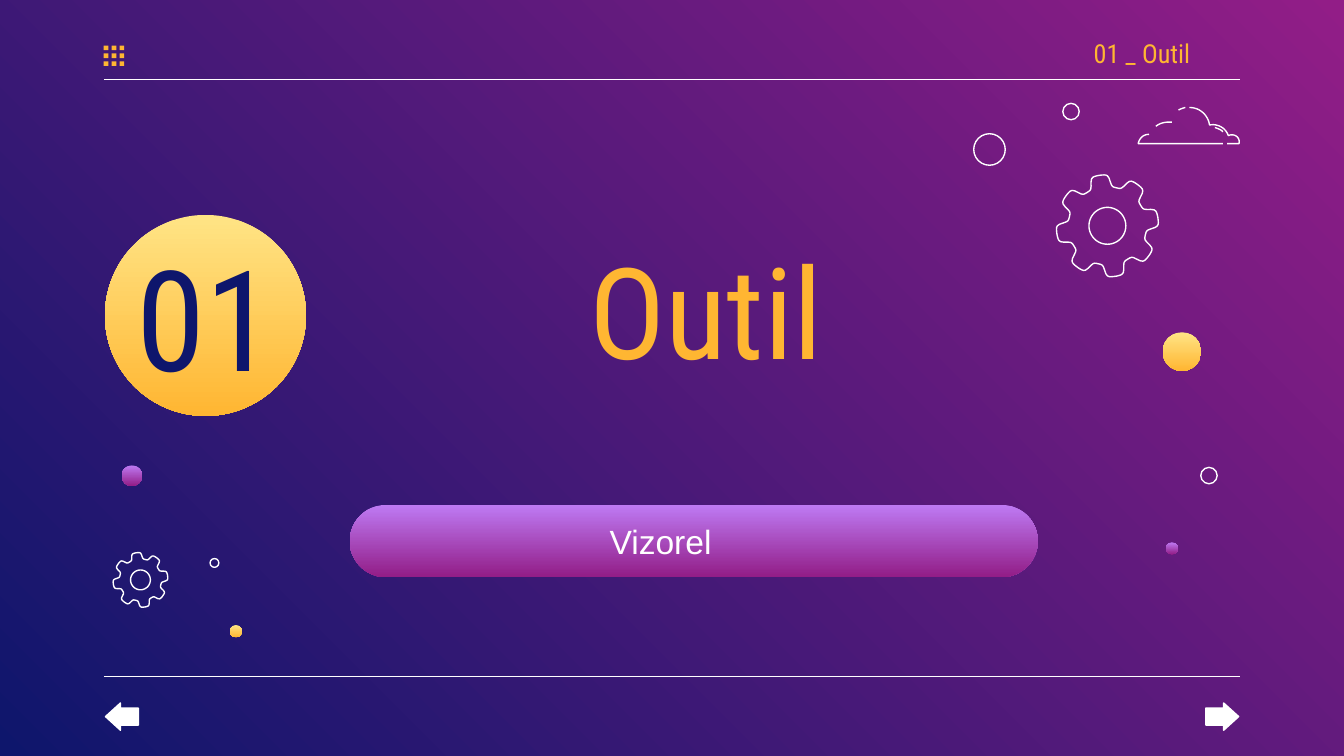
from dataclasses import dataclass
from itertools import product
from math import cos, pi, radians, sin, tanh

from lxml.etree import SubElement
from pptx import Presentation
from pptx.dml.color import RGBColor
from pptx.enum.shapes import MSO_CONNECTOR, MSO_SHAPE
from pptx.enum.text import MSO_ANCHOR, MSO_AUTO_SIZE, PP_ALIGN
from pptx.oxml.ns import qn
from pptx.util import Pt


@dataclass(frozen=True)
class Theme:
    white: str = "FFFFFF"
    amber: str = "FFB632"
    navy: str = "0E166C"
    backdrop: tuple = ("921D87", "0E166C")
    gold: tuple = ("FFE485", "FFB632")
    violet: tuple = ("BE7AF3", "921D87")
    heading: str = "Roboto Condensed"
    body: str = "Arial"
    title_size: float = 68
    number_size: float = 75
    button_size: float = 18
    header_size: float = 14
    line: float = 0.75


THEME = Theme()
LEFT, RIGHT = 55.6, 664.4
RULES_Y = (42.5, 362.6)

# Centre x, centre y, diameter
GOLD_DISCS = [(110.1, 169, 107.7), (633.2, 188.4, 20.7), (126.4, 338.2, 6.5)]
VIOLET_DISCS = [(70.7, 254.9, 11), (627.8, 293.8, 6.5)]
RINGS = [(573.8, 59.8, 8.8), (647.7, 254.8, 8.8), (530.1, 80.1, 16.9), (114.9, 301.6, 4.7)]
# Centre x, centre y, radius
GEARS = [(593.3, 121, 27.4), (75.3, 310.7, 14.7)]

# Each stroke: start point, then segments of one point (line) or three (curve)
CLOUD = [
    [(637.2, 57.6), [(643, 57.6), (647.3, 61.9), (648, 67)],
     [(652.3, 66.2), (656.6, 68.4), (658.1, 72.7)],
     [(661, 71.3), (664.6, 73.4), (663.8, 77)], [(657.4, 77)]],
    [(635, 57.6), [(635, 57.6), (632.2, 58.3), (631.4, 59)]],
    [(655.2, 77), [(609.8, 77)], [(609.8, 77), (610.6, 72), (615.6, 72)]],
    [(650.9, 68.4), [(650.9, 68.4), (653.8, 69.1), (655.2, 70.6)]],
    [(627.8, 65.5), [(627.8, 65.5), (622.8, 64.8), (619.2, 67.7)]],
]


def rgb(color):
    return RGBColor.from_string(color)


def fill_gradient(fill, colors, angle):
    fill.gradient()
    fill.gradient_angle = angle
    for stop, color in zip(fill.gradient_stops, colors):
        stop.color.rgb = rgb(color)


def style(sp, fill=None, line=None):
    """Fill with one colour, a top-down pair of colours, or nothing."""
    sp.shadow.inherit = False
    if fill is None:
        sp.fill.background()
    elif isinstance(fill, tuple):
        fill_gradient(sp.fill, fill, 270)
    else:
        sp.fill.solid()
        sp.fill.fore_color.rgb = rgb(fill)
    if line is None:
        sp.line.fill.background()
    else:
        sp.line.color.rgb = rgb(line)
        sp.line.width = Pt(THEME.line)


def add_preset(shapes, kind, x, y, w, h, fill=None, line=None):
    sp = shapes.add_shape(kind, Pt(x), Pt(y), Pt(w), Pt(h))
    style(sp, fill, line)
    return sp


def add_disc(shapes, cx, cy, d, fill=None, line=None):
    add_preset(shapes, MSO_SHAPE.OVAL, cx - d / 2, cy - d / 2, d, d, fill, line)


def add_rule(shapes, y):
    cxn = shapes.add_connector(MSO_CONNECTOR.STRAIGHT, Pt(LEFT), Pt(y), Pt(RIGHT), Pt(y))
    cxn.line.color.rgb = rgb(THEME.white)
    cxn.line.width = Pt(THEME.line)
    SubElement(cxn._element.spPr, qn("a:effectLst"))


def add_outline(shapes, contours, close):
    """Draw white contours, each a list of points, as one freeform."""
    contours = [[(Pt(x), Pt(y)) for x, y in contour] for contour in contours]
    builder = shapes.build_freeform(*contours[0][0])
    for i, contour in enumerate(contours):
        if i:
            builder.move_to(*contour[0])
        builder.add_line_segments(contour[1:], close=close)
    style(builder.convert_to_shape(), line=THEME.white)


def trace(start, *segments, steps=12):
    """Return the points along a stroke of lines and cubic curves."""
    points = [start]
    for segment in segments:
        if len(segment) == 1:
            points += segment
            continue
        controls = [points[-1], *segment]
        for i in range(1, steps + 1):
            t = i / steps
            weights = ((1 - t) ** 3, 3 * t * (1 - t) ** 2, 3 * t * t * (1 - t), t ** 3)
            points.append(tuple(sum(w * c[axis] for w, c in zip(weights, controls))
                                for axis in (0, 1)))
    return points


def add_gear(shapes, cx, cy, radius, teeth=8, steps=192):
    def ring(reach):
        angles = [2 * pi * i / steps for i in range(steps)]
        return [(cx + radius * reach(a) * cos(a), cy + radius * reach(a) * sin(a))
                for a in angles]

    def tooth(a):
        return 0.88 + 0.12 * tanh(2.5 * (cos(teeth * (a + radians(9))) + 0.15))

    add_outline(shapes, [ring(tooth), ring(lambda a: 0.36)], close=True)


def add_arrow(shapes, kind, x):
    sp = add_preset(shapes, kind, x, 376.6, 17.6, 14.6, THEME.white, THEME.white)
    sp.adjustments[0] = 0.63
    sp.adjustments[1] = 0.55


def set_text(sp, text, size, color, font=THEME.heading, align=PP_ALIGN.CENTER,
             left=7.2, right=7.2):
    tf = sp.text_frame
    tf.text = text
    tf.word_wrap = True
    tf.auto_size = MSO_AUTO_SIZE.NONE
    tf.vertical_anchor = MSO_ANCHOR.MIDDLE
    tf.margin_left, tf.margin_right = Pt(left), Pt(right)
    tf.margin_top = tf.margin_bottom = Pt(7.2)
    p = tf.paragraphs[0]
    p.alignment = align
    r = p.runs[0]
    r.font.name, r.font.size = font, Pt(size)
    r.font.color.rgb = rgb(color)


def add_label(shapes, box, *args, **kwargs):
    set_text(shapes.add_textbox(*map(Pt, box)), *args, **kwargs)


def add_title(s):
    title = s.shapes.title
    title.left, title.top, title.width, title.height = map(Pt, (214.6, 121.7, 350, 87))
    set_text(title, "Outil", THEME.title_size, THEME.amber, align=PP_ALIGN.LEFT, left=101)


def add_decorations(shapes):
    for disc in GOLD_DISCS:
        add_disc(shapes, *disc, fill=THEME.gold)
    for disc in VIOLET_DISCS:
        add_disc(shapes, *disc, fill=THEME.violet)
    for ring in RINGS:
        add_disc(shapes, *ring, line=THEME.white)
    for gear in GEARS:
        add_gear(shapes, *gear)
    cloud = shapes.add_group_shape().shapes
    for stroke in CLOUD:
        add_outline(cloud, [trace(*stroke)], close=False)


def add_menu_dots(shapes, size=2.5, step=4.25):
    dots = shapes.add_group_shape().shapes
    for col, row in product(range(3), repeat=2):
        add_preset(dots, MSO_SHAPE.RECTANGLE, LEFT + col * step, 24.4 + row * step,
                   size, size, THEME.amber)


def main():
    prs = Presentation()
    prs.slide_width, prs.slide_height = Pt(720), Pt(405)
    s = prs.slides.add_slide(prs.slide_layouts[5])
    shapes = s.shapes
    fill_gradient(s.background.fill, THEME.backdrop, 225)
    for y in RULES_Y:
        add_rule(shapes, y)
    add_title(s)
    add_decorations(shapes)
    button = add_preset(shapes, MSO_SHAPE.ROUNDED_RECTANGLE, 187.4, 270.5, 368.6, 38.7,
                        THEME.violet)
    button.adjustments[0] = 0.5
    add_label(shapes, (173.5, 277.9, 360.7, 23.8), "Vizorel", THEME.button_size,
              THEME.white, font=THEME.body)
    add_label(shapes, (56.2, 139, 108, 59.8), "01", THEME.number_size, THEME.navy)
    add_label(shapes, (555.8, 16.6, 108, 23.8), "01 _ Outil", THEME.header_size,
              THEME.amber, right=3)
    add_arrow(shapes, MSO_SHAPE.LEFT_ARROW, 56.5)
    add_arrow(shapes, MSO_SHAPE.RIGHT_ARROW, 646)
    add_menu_dots(shapes)
    prs.save("out.pptx")


if __name__ == "__main__":
    main()
